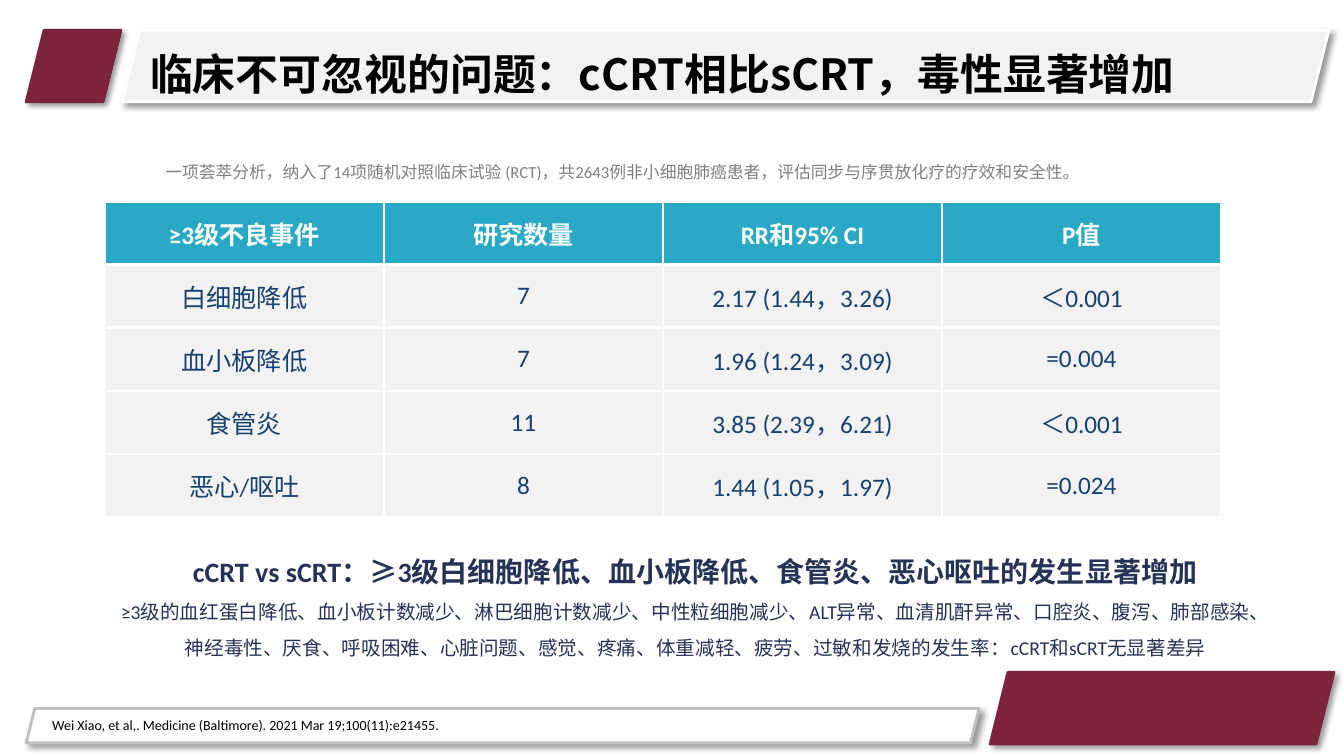
from lxml import etree
from pptx import Presentation
from pptx.dml.color import RGBColor
from pptx.enum.shapes import MSO_SHAPE
from pptx.enum.text import MSO_ANCHOR, PP_ALIGN
from pptx.oxml import parse_xml
from pptx.oxml.ns import nsdecls, qn
from pptx.util import Inches, Pt

SHADOW = f"""<a:effectLst {nsdecls('a')}>
  <a:outerShdw blurRad="50800" dist="38100" dir="2700000" algn="tl" rotWithShape="0">
    <a:srgbClr val="000000"><a:alpha val="40000"/></a:srgbClr>
  </a:outerShdw>
</a:effectLst>"""
BORDER = """<a:{side} {ns} w="28575"><a:solidFill><a:srgbClr val="FFFFFF"/></a:solidFill></a:{side}>"""
BLUE, NAVY, WINE, PALE = "164171", "253356", "7C233E", "F2F2F2"


def color(hex_text):
    return RGBColor.from_string(hex_text)


def set_text(para, text, size, ink, bold=False, align=PP_ALIGN.CENTER, face="Calibri"):
    """Fill a paragraph and style it, with one font for Chinese text throughout."""
    para.text = text
    para.alignment = align
    para.font.size, para.font.bold, para.font.name = Pt(size), bold, face
    para.font.color.rgb = color(ink)
    defaults = para._p.pPr.find(qn("a:defRPr"))
    etree.SubElement(defaults, qn("a:ea")).set("typeface", "Noto Sans CJK SC")


deck = Presentation()
deck.slide_width, deck.slide_height = Inches(13.33), Inches(7.5)
page = deck.slides.add_slide(deck.slide_layouts[6])

# Slanted bands at the head and foot of the page
bands = [
    (9.82, 6.67, 3.41, 0.71, WINE, WINE),
    (0.26, 7.03, 9.45, 0.34, "FFFFFF", "BFBFBF"),
    (0.26, 0.3, 0.94, 0.71, WINE, WINE),
    (1.21, 0.3, 11.97, 0.71, PALE, "FFFFFF"),
]
for *place, fill, line in bands:
    band = page.shapes.add_shape(MSO_SHAPE.PARALLELOGRAM, *map(Inches, place))
    band.fill.solid()
    band.fill.fore_color.rgb = color(fill)
    band.line.color.rgb = color(line)
    band.line.width = Pt(2)
    band._element.spPr.append(parse_xml(SHADOW))

# Adverse event table
rows = [
    ("≥3级不良事件", "研究数量", "RR和95% CI", "P值"),
    ("白细胞降低", "7", "2.17 (1.44，3.26)", "＜0.001"),
    ("血小板降低", "7", "1.96 (1.24，3.09)", "=0.004"),
    ("食管炎", "11", "3.85 (2.39，6.21)", "＜0.001"),
    ("恶心/呕吐", "8", "1.44 (1.05，1.97)", "=0.024"),
]
table = page.shapes.add_table(
    len(rows), len(rows[0]), Inches(1.04), Inches(2), Inches(11.07), Inches(3.13)
).table
for row_index, row in enumerate(rows):
    header = row_index == 0
    for column_index, text in enumerate(row):
        cell = table.cell(row_index, column_index)
        cell.vertical_anchor = MSO_ANCHOR.MIDDLE
        set_text(cell.text_frame.paragraphs[0], text, 18, "FFFFFF" if header else BLUE, header)
        properties = cell._tc.get_or_add_tcPr()
        for side in ("lnL", "lnR", "lnT", "lnB"):
            properties.append(parse_xml(BORDER.format(side=side, ns=nsdecls("a"))))
        cell.fill.solid()
        cell.fill.fore_color.rgb = color("29A9C5" if header else PALE)

# Text: place, anchor, line spacing, then text, size, colour, bold, alignment, font
texts = [
    ((1.39, 0.44, 11.8, 0.57), MSO_ANCHOR.MIDDLE, None, [
        ("临床不可忽视的问题：cCRT相比sCRT，毒性显著增加",
         30.6, "000000", True, PP_ALIGN.LEFT, "Noto Sans CJK SC")]),
    ((0.64, 1.53, 11.07, 0.31), MSO_ANCHOR.TOP, Pt(16), [
        ("一项荟萃分析，纳入了14项随机对照临床试验 (RCT)，共2643例非小细胞肺癌患者，"
         "评估同步与序贯放化疗的疗效和安全性。", 12, "808080")]),
    ((1.04, 5.29, 11.71, 1.27), MSO_ANCHOR.TOP, 1.5, [
        ("cCRT vs sCRT：≥3级白细胞降低、血小板降低、食管炎、恶心呕吐的发生显著增加", 20, NAVY, True),
        ("≥3级的血红蛋白降低、血小板计数减少、淋巴细胞计数减少、中性粒细胞减少、ALT异常、"
         "血清肌酐异常、口腔炎、腹泻、肺部感染、神经毒性、厌食、呼吸困难、心脏问题、感觉、疼痛、"
         "体重减轻、疲劳、过敏和发烧的发生率：cCRT和sCRT无显著差异", 14, NAVY)]),
    ((0.42, 7.06, 6.67, 0.28), MSO_ANCHOR.TOP, None, [
        ("Wei Xiao, et al,. Medicine (Baltimore). 2021 Mar 19;100(11):e21455.",
         10, "000000", False, PP_ALIGN.LEFT)]),
]
for place, anchor, spacing, paragraphs in texts:
    frame = page.shapes.add_textbox(*map(Inches, place)).text_frame
    frame.word_wrap = True
    frame.vertical_anchor = anchor
    for index, content in enumerate(paragraphs):
        para = frame.add_paragraph() if index else frame.paragraphs[0]
        para.line_spacing = spacing
        set_text(para, *content)

deck.save("out.pptx")
